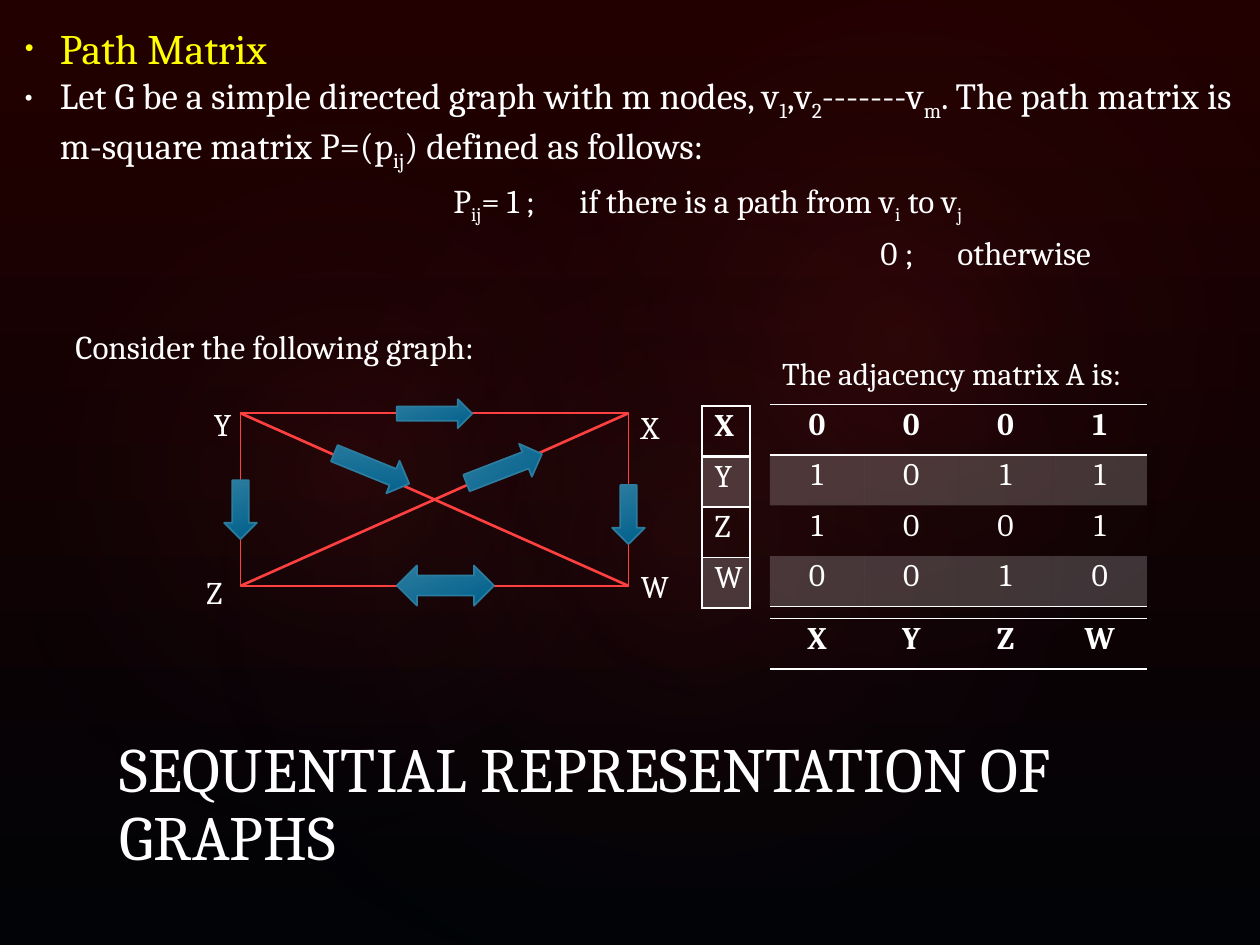
from lxml import etree
from pptx import Presentation
from pptx.dml.color import RGBColor
from pptx.enum.shapes import MSO_CONNECTOR as CONN, MSO_SHAPE as SHAPE
from pptx.enum.text import MSO_ANCHOR as ANCHOR, MSO_AUTO_SIZE as AUTO, PP_ALIGN as ALIGN
from pptx.oxml import parse_xml
from pptx.oxml.ns import nsdecls, qn
from pptx.util import Cm, Pt

WHITE, RED, YELLOW = "FFFFFF", "FF4040", "FFFF00"
NO_STYLE = "{2D5ABB26-0587-4C30-8999-92F81FD0307C}"


def rgb(color):
    return RGBColor.from_string(color)


def add_run(p, text, size, color=WHITE, bold=False):
    r = p.add_run()
    r.text = text
    r.font.name, r.font.size, r.font.bold = "Cambria", Pt(size), bold
    r.font.color.rgb = rgb(color)
    return r


prs = Presentation()
prs.slide_width, prs.slide_height = Cm(25.4), Cm(19.05)
s = prs.slides.add_slide(prs.slide_layouts[5])

# Background
fill = s.background.fill
fill.gradient()
fill.gradient_angle = 270
for stop, color in zip(fill.gradient_stops, ("230000", "010306")):
    stop.color.rgb = rgb(color)

# Soft red glows, behind everything else
glows = [(3.81, 2.9, 20.12, 15.85, 328.7, 7),
         (-0.76, 3.25, 15.39, 12.45, 294.3, 8),
         (9.09, 0.33, 18.01, 13.21, 328.7, 8)]
for i, (x, y, w, h, angle, alpha) in enumerate(glows):
    sp = s.shapes.add_shape(SHAPE.OVAL, Cm(x), Cm(y), Cm(w), Cm(h))
    sp.rotation = angle
    sp.shadow.inherit = False
    sp.line.fill.background()
    sp._element.spPr.find(qn("a:prstGeom")).addnext(parse_xml(
        f'<a:gradFill {nsdecls("a")}><a:gsLst>'
        f'<a:gs pos="0"><a:srgbClr val="{RED}"><a:alpha val="{alpha * 1000}"/></a:srgbClr></a:gs>'
        '<a:gs pos="58000"><a:srgbClr val="09213B"><a:alpha val="0"/></a:srgbClr></a:gs>'
        '</a:gsLst><a:path path="circle">'
        '<a:fillToRect l="50000" t="50000" r="50000" b="50000"/></a:path></a:gradFill>'))
    s.shapes._spTree.insert(2 + i, sp._element)

# Title
title = s.shapes.title
title.left, title.top, title.width, title.height = Cm(2.16), Cm(15.21), Cm(20.96), Cm(2.54)
tf = title.text_frame
tf.auto_size, tf.vertical_anchor = AUTO.NONE, ANCHOR.BOTTOM
p = tf.paragraphs[0]
p.alignment, p.line_spacing = ALIGN.LEFT, 0.9
add_run(p, "SEQUENTIAL REPRESENTATION OF GRAPHS", 36)

# Definition text: every second piece between bars is a subscript
tf = s.shapes.add_textbox(Cm(0.2), Cm(-1.37), Cm(25.4), Cm(9.88)).text_frame
tf.word_wrap = True
tf.margin_top = Cm(1.82)
lines = [  # text, size, colour, space before, margin, bullet, tab stops
    ("Path Matrix", 24, YELLOW, 0, 0.76, True, ()),
    ("Let G be a simple directed graph with m nodes, v|1|,v|2|-------v|m|"
     ". The path matrix is m-square matrix P=(p|ij|) defined as follows:",
     21, WHITE, 0, 0.76, True, ()),
    ("\tP|ij|= 1 ;\tif there is a path from v|i| to v|j|", 19, WHITE, 4, 0, False, (8.69, 11.23)),
    ("\t0 ;\totherwise", 19, WHITE, 4, 0, False, (17.3, 18.85)),
    ("Consider the following graph:", 19, WHITE, 31, 1.07, False, ()),
]
for i, (text, size, color, before, margin, bullet, stops) in enumerate(lines):
    p = tf.add_paragraph() if i else tf.paragraphs[0]
    p.space_before = Pt(before)
    pPr = p._p.get_or_add_pPr()
    pPr.set("marL", str(Cm(margin)))
    if bullet:
        pPr.set("indent", str(Cm(-0.71)))
        etree.SubElement(pPr, qn("a:buSzPct"), val="60000")
        etree.SubElement(pPr, qn("a:buFont"), typeface="Arial")
        etree.SubElement(pPr, qn("a:buChar"), char="•")
    if stops:
        tabs = etree.SubElement(pPr, qn("a:tabLst"))
        for stop in stops:
            etree.SubElement(tabs, qn("a:tab"), pos=str(Cm(stop)), algn="l")
    for j, piece in enumerate(text.split("|")):
        if piece:
            r = add_run(p, piece, size, color)
            if j % 2:
                r.font._element.set("baseline", "-25000")

# Graph edges
left, top, right, bottom = Cm(4.85), Cm(8.33), Cm(12.67), Cm(11.81)
sp = s.shapes.add_shape(SHAPE.RECTANGLE, left, top, right - left, bottom - top)
sp.shadow.inherit = False
sp.fill.background()
sp.line.color.rgb, sp.line.width = rgb(RED), Pt(1)
for y1, y2 in ((top, bottom), (bottom, top)):
    edge = s.shapes.add_connector(CONN.STRAIGHT, left, y1, right, y2)
    edge.line.color.rgb, edge.line.width = rgb(RED), Pt(1.5)
    etree.SubElement(edge._element.spPr, qn("a:effectLst"))

# Direction arrows
arrows = [(SHAPE.RIGHT_ARROW, 8, 8.05, 1.52, 0.58, 0),
          (SHAPE.LEFT_RIGHT_ARROW, 8, 11.4, 1.96, 0.81, 0),
          (SHAPE.DOWN_ARROW, 4.52, 9.68, 0.66, 1.19, 0),
          (SHAPE.DOWN_ARROW, 12.34, 9.78, 0.66, 1.19, 0),
          (SHAPE.RIGHT_ARROW, 6.68, 9.09, 1.63, 0.71, 22.1),
          (SHAPE.RIGHT_ARROW, 9.35, 9.09, 1.63, 0.71, 338.9)]
for kind, x, y, w, h, angle in arrows:
    sp = s.shapes.add_shape(kind, Cm(x), Cm(y), Cm(w), Cm(h))
    sp.rotation = angle
    sp.shadow.inherit = False
    sp.fill.gradient()
    sp.fill.gradient_angle = 291
    for stop, color in zip(sp.fill.gradient_stops, ("2C7C9F", "00608B")):
        stop.color.rgb = rgb(color)
    sp.line.color.rgb, sp.line.width = rgb("2C7C9F"), Pt(1)

# Node names and matrix caption
labels = [("Y", 4.06, 8.05, 0.94), ("Z", 3.91, 11.43, 0.94),
          ("W", 12.67, 11.3, 1.14), ("X", 12.67, 8.1, 0.94),
          ("The adjacency matrix A is:", 15.52, 7.01, 7.95)]
for text, x, y, w in labels:
    tf = s.shapes.add_textbox(Cm(x), Cm(y), Cm(w), Cm(1.02)).text_frame
    tf.word_wrap = False
    add_run(tf.paragraphs[0], text, 18)

# Adjacency matrix, its row names and its column names
tables = [  # rows, left, top, column width, alignment, boxed
    (["0001", "1011", "1001", "0010"], 15.52, 8.15, 1.9, ALIGN.CENTER, False),
    (["X", "Y", "Z", "W"], 14.15, 8.18, 0.97, ALIGN.LEFT, True),
    (["XYZW"], 15.52, 12.47, 1.9, ALIGN.CENTER, False),
]
for rows, x, y, col_w, align, boxed in tables:
    n, m = len(rows), len(rows[0])
    tbl = s.shapes.add_table(n, m, Cm(x), Cm(y), Cm(col_w * m), Cm(1.02 * n)).table
    tbl._tbl.tblPr.find(qn("a:tableStyleId")).text = NO_STYLE
    tbl.horz_banding = False
    for i, row in enumerate(rows):
        for j, text in enumerate(row):
            cell = tbl.cell(i, j)
            cell.margin_top = cell.margin_bottom = Cm(0.05)
            if boxed:
                cell.margin_right = 0
            p = cell.text_frame.paragraphs[0]
            p.alignment = align
            add_run(p, text, 18, bold=i == 0)
            sides = {"L": boxed, "R": boxed, "T": boxed or i == 0,
                     "B": boxed or i in (0, n - 1)}
            tcPr = cell._tc.get_or_add_tcPr()
            for side in (k for k, drawn in sides.items() if drawn):
                width = Pt(2) if boxed and i == 0 and side == "B" else Pt(1)
                tcPr.append(parse_xml(
                    f'<a:ln{side} {nsdecls("a")} w="{width}"><a:solidFill>'
                    f'<a:srgbClr val="{WHITE}"/></a:solidFill></a:ln{side}>'))
            if i % 2:
                cell.fill.solid()
                cell.fill.fore_color.rgb = rgb(WHITE)
                etree.SubElement(tcPr.find(".//" + qn("a:solidFill") + "[last()]/" + qn("a:srgbClr"))
                                 if not any(sides.values())
                                 else tcPr.find(qn("a:solidFill")).find(qn("a:srgbClr")),
                                 qn("a:alpha"), val="20000")
            else:
                cell.fill.background()

prs.save("out.pptx")
